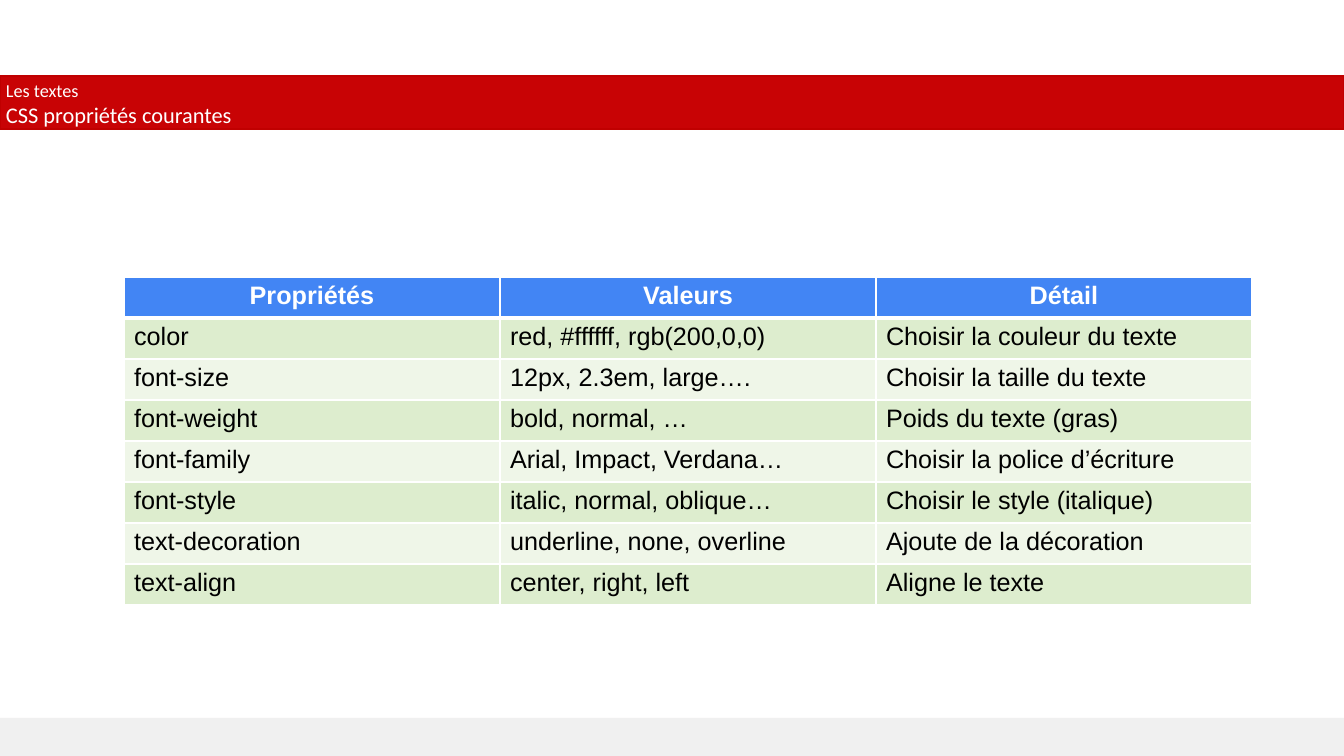
from lxml.etree import SubElement
from pptx import Presentation
from pptx.dml.color import RGBColor
from pptx.enum.shapes import MSO_SHAPE as Preset
from pptx.enum.text import MSO_ANCHOR as Anchor, PP_ALIGN as Align
from pptx.oxml.ns import qn
from pptx.util import Emu, Pt

TITLE_LINES = [("Les textes", 13), ("CSS propriétés courantes", 16)]
HEADERS = ("Propriétés", "Valeurs", "Détail")
PROPERTIES = [
    ("color", "red, #ffffff, rgb(200,0,0)", "Choisir la couleur du texte"),
    ("font-size", "12px, 2.3em, large….", "Choisir la taille du texte"),
    ("font-weight", "bold, normal, …", "Poids du texte (gras)"),
    ("font-family", "Arial, Impact, Verdana…", "Choisir la police d’écriture"),
    ("font-style", "italic, normal, oblique…", "Choisir le style (italique)"),
    ("text-decoration", "underline, none, overline", "Ajoute de la décoration"),
    ("text-align", "center, right, left", "Aligne le texte"),
]
COLORS = {
    "white": "FFFFFF", "black": "000000", "footer": "D0CECE",
    "banner": "C80305", "banner_line": "C00000",
    "header": "4285F4", "odd_row": "DDEDCE", "even_row": "EFF6E8",
}
PAGE_WIDTH, PAGE_HEIGHT = 1344, 756
BANNER = (0, 76, PAGE_WIDTH, 53)
FOOTER = (0, 718, PAGE_WIDTH, 38)
TITLE = (-4, 69, 261, 69)
TABLE_LEFT, TABLE_TOP = 124, 277
COLUMN_WIDTH, ROW_HEIGHT = 376, 41
TITLE_INSET = 10
FOOTER_OPACITY = 30


def px(length):
    return Emu(round(length * 914400 / 100.8))


def color(name):
    return RGBColor.from_string(COLORS[name])


def add_band(page, area, fill):
    band = page.shapes.add_shape(Preset.RECTANGLE, *map(px, area))
    band.shadow.inherit = False
    band.fill.solid()
    band.fill.fore_color.rgb = color(fill)
    band.line.fill.background()
    return band


def set_font(para, family, size, ink, bold=False):
    para.font.name = family
    para.font.size = Pt(size)
    para.font.bold = bold
    para.font.color.rgb = color(ink)


def add_border(cell, side, points):
    properties = cell._tc.get_or_add_tcPr()
    line = SubElement(properties, qn(f"a:{side}"), w=str(Pt(points)))
    fill = SubElement(line, qn("a:solidFill"))
    SubElement(fill, qn("a:srgbClr"), val=COLORS["white"])


def fill_cell(cell, text, row):
    is_header = row == 0
    para = cell.text_frame.paragraphs[0]
    para.text = text
    para.alignment = Align.CENTER if is_header else Align.LEFT
    set_font(para, "Arial", 18, "white" if is_header else "black", is_header)
    for side in ("lnL", "lnR", "lnT", "lnB"):
        is_rule = (row, side) in ((0, "lnB"), (1, "lnT"))
        add_border(cell, side, 3 if is_rule else 1)
    cell.fill.solid()
    band = "header" if is_header else "odd_row" if row % 2 else "even_row"
    cell.fill.fore_color.rgb = color(band)


def add_properties_table(page):
    rows = [HEADERS, *PROPERTIES]
    size = (len(HEADERS) * COLUMN_WIDTH, len(rows) * ROW_HEIGHT)
    area = map(px, (TABLE_LEFT, TABLE_TOP, *size))
    table = page.shapes.add_table(len(rows), len(HEADERS), *area).table
    for row, texts in enumerate(rows):
        for column, text in enumerate(texts):
            fill_cell(table.cell(row, column), text, row)


def add_title(page):
    frame = page.shapes.add_textbox(*map(px, TITLE)).text_frame
    frame.word_wrap = True
    frame.vertical_anchor = Anchor.TOP
    frame.margin_left = frame.margin_right = px(TITLE_INSET)
    frame.margin_top = frame.margin_bottom = px(TITLE_INSET)
    for index, (text, size) in enumerate(TITLE_LINES):
        para = frame.add_paragraph() if index else frame.paragraphs[0]
        para.text = text
        set_font(para, "Calibri", size, "white")


def main():
    deck = Presentation()
    deck.slide_width, deck.slide_height = px(PAGE_WIDTH), px(PAGE_HEIGHT)
    page = deck.slides.add_slide(deck.slide_layouts[6])
    footer = add_band(page, FOOTER, "footer")
    tint = footer._element.spPr.find(f".//{qn('a:srgbClr')}")
    SubElement(tint, qn("a:alpha"), val=str(FOOTER_OPACITY * 1000))
    banner = add_band(page, BANNER, "banner")
    banner.line.color.rgb = color("banner_line")
    banner.line.width = Pt(1)
    add_properties_table(page)
    add_title(page)
    deck.save("out.pptx")


if __name__ == "__main__":
    main()
